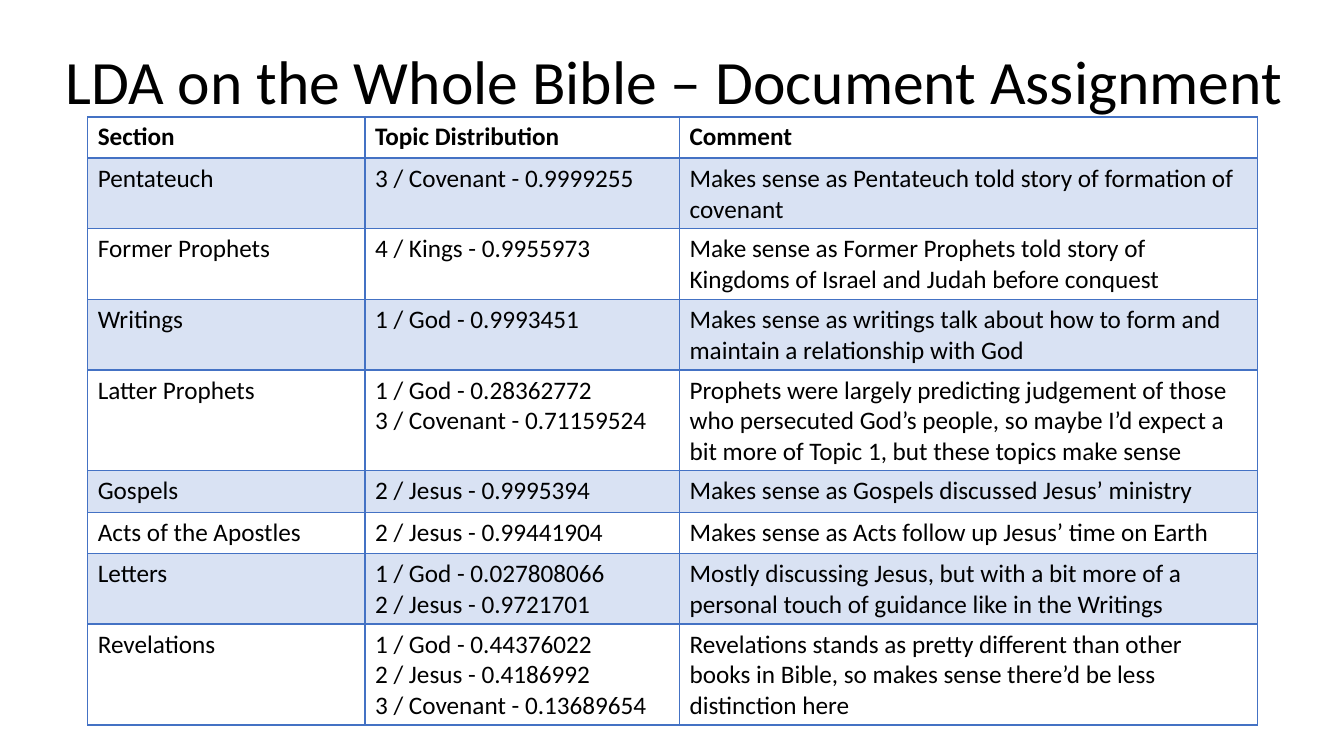
from lxml.etree import SubElement
from pptx import Presentation
from pptx.dml.color import RGBColor
from pptx.enum.text import MSO_ANCHOR
from pptx.oxml import parse_xml
from pptx.oxml.ns import nsdecls, qn
from pptx.util import Pt

PX = 9144  # 100 px to the inch
BLUE = "4472C4"
BAND_OPACITY = 20
ROW_HEIGHT = 41
COLUMN_WIDTHS = [275, 312, 573]
HEADER = ("Section", "Topic Distribution", "Comment")
ASSIGNMENTS = [
    ("Pentateuch", "3 / Covenant - 0.9999255",
     "Makes sense as Pentateuch told story of formation of covenant"),
    ("Former Prophets", "4 / Kings - 0.9955973",
     "Make sense as Former Prophets told story of Kingdoms of Israel and Judah before conquest"),
    ("Writings", "1 / God - 0.9993451",
     "Makes sense as writings talk about how to form and maintain a relationship with God"),
    ("Latter Prophets", "1 / God - 0.28362772\n3 / Covenant - 0.71159524",
     "Prophets were largely predicting judgement of those who persecuted God’s people, "
     "so maybe I’d expect a bit more of Topic 1, but these topics make sense"),
    ("Gospels", "2 / Jesus - 0.9995394", "Makes sense as Gospels discussed Jesus’ ministry"),
    ("Acts of the Apostles", "2 / Jesus - 0.99441904",
     "Makes sense as Acts follow up Jesus’ time on Earth"),
    ("Letters", "1 / God - 0.027808066\n2 / Jesus - 0.9721701",
     "Mostly discussing Jesus, but with a bit more of a personal touch of guidance "
     "like in the Writings"),
    ("Revelations", "1 / God - 0.44376022\n2 / Jesus - 0.4186992\n3 / Covenant - 0.13689654",
     "Revelations stands as pretty different than other books in Bible, "
     "so makes sense there’d be less distinction here"),
]


def px(length):
    return length * PX


def color(hex_string):
    return RGBColor.from_string(hex_string)


def write(text_frame, text, size=18, bold=False, hex_color="000000", font="Calibri", spacing=1.0):
    """Fill the frame with one paragraph for each line of text."""
    text_frame.text = text
    for paragraph in text_frame.paragraphs:
        paragraph.line_spacing = spacing
        for run in paragraph.runs:
            run.font.name = font
            run.font.size = Pt(size)
            run.font.bold = bold
            run.font.color.rgb = color(hex_color)


def set_borders(cell, top, bottom):
    """Draw all four sides; widths are in points and borders precede the fill."""
    properties = cell._tc.get_or_add_tcPr()
    sides = {"lnL": 1, "lnR": 1, "lnT": top, "lnB": bottom}
    for index, (side, width) in enumerate(sides.items()):
        properties.insert(index, parse_xml(
            f'<a:{side} {nsdecls("a")} w="{Pt(width)}"><a:solidFill>'
            f'<a:srgbClr val="{BLUE}"/></a:solidFill></a:{side}>'))


def fill_band(cell):
    cell.fill.solid()
    cell.fill.fore_color.rgb = color(BLUE)
    shade = cell._tc.tcPr.find(".//" + qn("a:srgbClr"))
    SubElement(shade, qn("a:alpha"), val=str(BAND_OPACITY * 1000))


class SlideBuilder:
    def __init__(self, slide):
        self.slide = slide

    def title(self, text, left, top, width, height):
        box = self.slide.shapes.add_textbox(px(left), px(top), px(width), px(height))
        box.text_frame.word_wrap = True
        box.text_frame.vertical_anchor = MSO_ANCHOR.MIDDLE
        write(box.text_frame, text, size=44, spacing=0.9)

    def table(self, rows, left, top, widths, height):
        shape = self.slide.shapes.add_table(
            len(rows), len(widths), px(left), px(top), px(sum(widths)), px(height))
        table = shape.table
        table.horz_banding = False
        for column, width in zip(table.columns, widths):
            column.width = px(width)
        for row_index, (row, texts) in enumerate(zip(table.rows, rows)):
            row.height = px(ROW_HEIGHT)
            for cell, text in zip(row.cells, texts):
                write(cell.text_frame, text, bold=row_index == 0)
                if row_index % 2:
                    fill_band(cell)
                else:
                    cell.fill.background()
                set_borders(cell, top=2 if row_index == 1 else 1,
                            bottom=2 if row_index == 0 else 1)
        shape.height = px(height)


def main():
    presentation = Presentation()
    presentation.slide_width = px(1333)
    presentation.slide_height = px(750)
    builder = SlideBuilder(presentation.slides.add_slide(presentation.slide_layouts[6]))
    builder.title("LDA on the Whole Bible – Document Assignment", 55, 11, 1244, 145)
    builder.table([HEADER, *ASSIGNMENTS], 87, 116, COLUMN_WIDTHS, 602)
    presentation.save("out.pptx")


if __name__ == "__main__":
    main()
